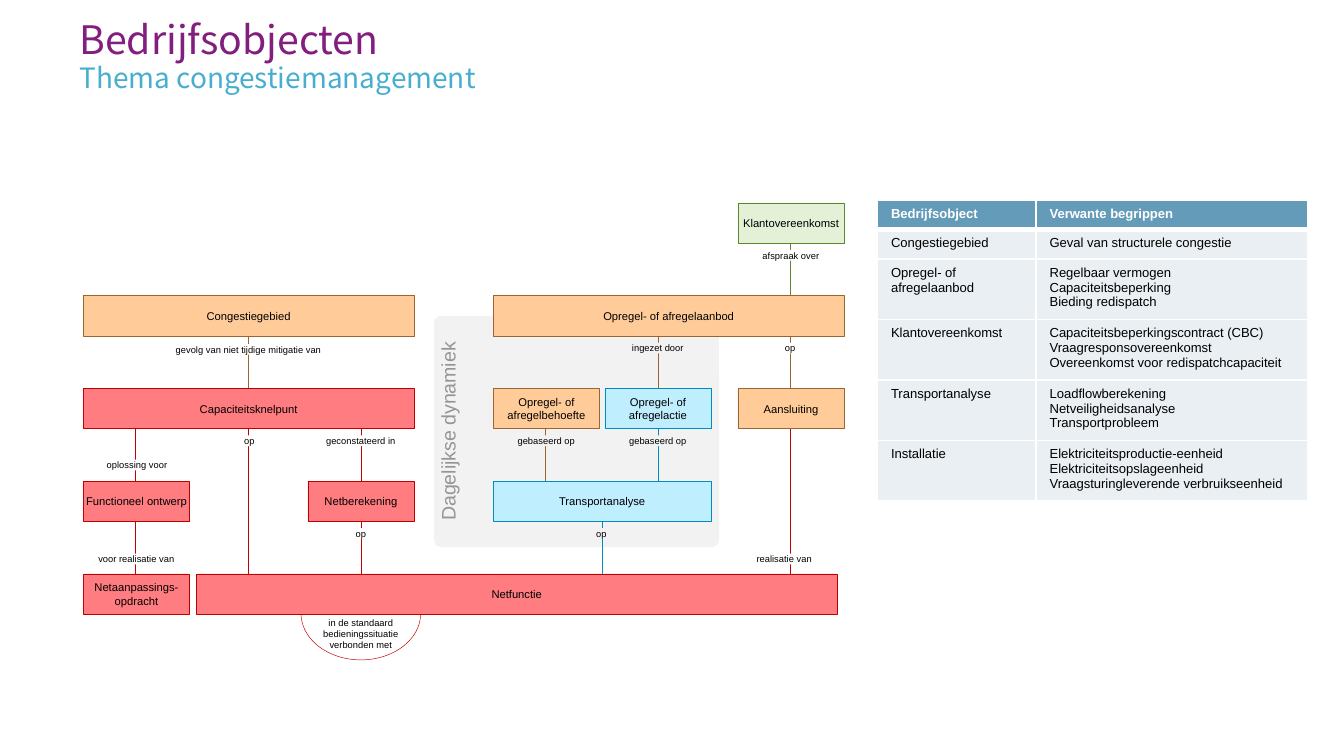
"""Build the slide of business objects for congestion management."""
from lxml import etree
from pptx import Presentation
from pptx import util as u
from pptx.dml.color import RGBColor
from pptx.enum import shapes, text
from pptx.oxml import ns

BLACK, WHITE, GREY = "000000", "FFFFFF", "F2F2F2"
GREEN, ORANGE = ("E5F1D7", "5E872D"), ("FFCC99", "996633")
RED, BLUE = ("FF7C80", "C00000"), ("BFEEFF", "008CBE")
UNIT_W, UNIT_H, ROW_STEP = 0.79, 0.3, 0.69

OBJECTS = [
    (5.49, 0, UNIT_W, GREEN, "Klantovereenkomst"),
    (0.62, 1, 2.46, ORANGE, "Congestiegebied"),
    (3.67, 1, 2.61, ORANGE, "Opregel- of afregelaanbod"),
    (0.62, 2, 2.46, RED, "Capaciteitsknelpunt"),
    (3.67, 2, UNIT_W, ORANGE, "Opregel- of afregelbehoefte"),
    (4.5, 2, UNIT_W, BLUE, "Opregel- of afregelactie"),
    (5.49, 2, UNIT_W, ORANGE, "Aansluiting"),
    (0.62, 3, UNIT_W, RED, "Functioneel ontwerp"),
    (2.29, 3, UNIT_W, RED, "Netberekening"),
    (3.67, 3, 1.62, BLUE, "Transportanalyse"),
    (0.62, 4, UNIT_W, RED, "Netaanpassings-opdracht"),
    (1.46, 4, 4.77, RED, "Netfunctie"),
]
RELATIONS = [
    (5.88, 0, 1, GREEN, "afspraak over", 5.49, UNIT_W, 0.05, WHITE),
    (1.85, 1, 2, ORANGE, "gevolg van niet tijdige mitigatie van", 1.26, 1.18, 0.06, WHITE),
    (4.9, 1, 2, ORANGE, "ingezet door", 4.5, UNIT_W, 0.05, GREY),
    (5.88, 1, 2, ORANGE, "op", 5.73, 0.3, 0.05, WHITE),
    (1.01, 2, 3, RED, "oplossing voor", 0.77, 0.5, 0.23, WHITE),
    (1.85, 2, 4, RED, "op", 1.46, UNIT_W, 0.05, WHITE),
    (2.69, 2, 3, RED, "geconstateerd in", 2.29, UNIT_W, 0.05, WHITE),
    (4.06, 2, 3, ORANGE, "gebaseerd op", 3.67, UNIT_W, 0.05, GREY),
    (4.9, 2, 3, BLUE, "gebaseerd op", 4.5, UNIT_W, 0.05, GREY),
    (5.88, 2, 4, RED, "realisatie van", 5.59, 0.49, 0.93, WHITE),
    (1.01, 3, 4, RED, "voor realisatie van", 0.62, UNIT_W, 0.24, WHITE),
    (2.69, 3, 4, RED, "op", 2.29, UNIT_W, 0.05, WHITE),
    (4.48, 3, 4, BLUE, "op", 4.08, UNIT_W, 0.05, GREY),
]
TERMS = [
    ("Bedrijfsobject", "Verwante begrippen", 0.21),
    ("Congestiegebied", "Geval van structurele congestie", 0.22),
    ("Opregel- of afregelaanbod",
     "Regelbaar vermogen\nCapaciteitsbeperking\nBieding redispatch", 0.45),
    ("Klantovereenkomst",
     "Capaciteitsbeperkingscontract (CBC)\nVraagresponsovereenkomst\n"
     "Overeenkomst voor redispatchcapaciteit", 0.45),
    ("Transportanalyse",
     "Loadflowberekening\nNetveiligheidsanalyse\nTransportprobleem", 0.45),
    ("Installatie",
     "Elektriciteitsproductie-eenheid\nElektriciteitsopslageenheid\n"
     "Vraagsturingleverende verbruikseenheid", 0.45),
]


def rgb(code):
    return RGBColor.from_string(code)


def row_top(row):
    return 1.51 + ROW_STEP * row


def write(frame, wording, size, color, font="Arial", align=None, bold=False, spacing=None):
    frame.text = wording
    for paragraph in frame.paragraphs:
        paragraph.alignment = align
        paragraph.line_spacing = spacing
        for run in paragraph.runs:
            run.font.size, run.font.name, run.font.bold = u.Pt(size), font, bold
            run.font.color.rgb = rgb(color)


def set_margins(frame, margin):
    frame.margin_left = frame.margin_right = u.Inches(margin)
    frame.margin_top = frame.margin_bottom = u.Inches(margin)


def add_block(slide, kind, place, wording, size, fill=None, line=None, margin=None, color=BLACK):
    block = slide.shapes.add_shape(kind, *map(u.Inches, place))
    block.shadow.inherit = False
    if fill:
        block.fill.solid()
        block.fill.fore_color.rgb = rgb(fill)
    else:
        block.fill.background()
    if line:
        block.line.color.rgb = rgb(line)
        block.line.width = u.Pt(0.25)
    else:
        block.line.fill.background()
    frame = block.text_frame
    frame.vertical_anchor = text.MSO_ANCHOR.MIDDLE
    if margin is not None:
        set_margins(frame, margin)
    write(frame, wording, size, color, align=text.PP_ALIGN.CENTER)
    return block


def add_heading(slide, place, wording, size, color, spacing):
    heading = slide.shapes.add_textbox(*map(u.Inches, place))
    heading.text_frame.word_wrap = True
    set_margins(heading.text_frame, 0)
    write(heading.text_frame, wording, size, color, "Noto Sans CJK TC", spacing=spacing)


def add_dynamics_area(slide):
    area = add_block(slide, shapes.MSO_SHAPE.ROUNDED_RECTANGLE, (3.23, 2.35, 2.12, 1.72),
                     "Dagelijkse dynamiek", 10.5, GREY, margin=0, color="939598")
    area.adjustments[0] = 0.03
    area.text_frame.vertical_anchor = text.MSO_ANCHOR.TOP
    area.element.txBody.bodyPr.set("vert", "vert270")


def add_self_relation(slide):
    loop = add_block(slide, shapes.MSO_SHAPE.ARC, (2.24, 4.22, 0.89, 0.69),
                     "in de standaard bedieningssituatie verbonden met", 5, line=RED[1])
    loop.adjustments[0], loop.adjustments[1] = 212.73, 109.39


def add_relation(slide, x, upper, lower, colors, wording, left, width, drop, fill):
    start, end = row_top(upper) + UNIT_H, row_top(lower)
    link = slide.shapes.add_connector(shapes.MSO_CONNECTOR.STRAIGHT,
                                      *map(u.Inches, (x, start, x, end)))
    link.line.color.rgb = rgb(colors[1])
    link.line.width = u.Pt(0.25)
    etree.SubElement(link.element.spPr, ns.qn("a:effectLst"))
    label = add_block(slide, shapes.MSO_SHAPE.RECTANGLE, (left, start + drop, width, 0.08),
                      wording, 5, fill, margin=0)
    label.text_frame.auto_size = text.MSO_AUTO_SIZE.SHAPE_TO_FIT_TEXT


def add_border(cell, side, points):
    border = etree.SubElement(cell._tc.get_or_add_tcPr(), ns.qn("a:ln" + side),
                              w=str(u.Pt(points)))
    solid = etree.SubElement(border, ns.qn("a:solidFill"))
    etree.SubElement(solid, ns.qn("a:srgbClr"), val=WHITE)


def add_terms_table(slide):
    place = map(u.Inches, (6.53, 1.49, 3.2, 2.23))
    table = slide.shapes.add_table(len(TERMS), 2, *place).table
    for column, width in zip(table.columns, (1.18, 2.02)):
        column.width = u.Inches(width)
    for index, (name, related, height) in enumerate(TERMS):
        table.rows[index].height = u.Inches(height)
        header = index == 0
        for cell, wording in zip(table.rows[index].cells, (name, related)):
            for side in "LRTB":
                thick = (index, side) in ((0, "B"), (1, "T"))
                add_border(cell, side, 3 if thick else 1)
            cell.fill.solid()
            cell.fill.fore_color.rgb = rgb("649BB9" if header else "EAEFF3")
            write(cell.text_frame, wording, 7, WHITE if header else BLACK, bold=header)


def main():
    deck = Presentation()
    deck.slide_width = u.Inches(10)
    deck.slide_height = deck.slide_width * 9 // 16
    slide = deck.slides.add_slide(deck.slide_layouts[6])
    add_dynamics_area(slide)
    add_self_relation(slide)
    add_heading(slide, (0.59, 0.17, 9.65, 0.39), "Bedrijfsobjecten", 21, "821E7D", u.Pt(21))
    add_heading(slide, (0.59, 0.4, 7.55, 0.22), "Thema congestiemanagement", 15, "48AED0", 1.2)
    for relation in RELATIONS:
        add_relation(slide, *relation)
    for left, row, width, colors, wording in OBJECTS:
        add_block(slide, shapes.MSO_SHAPE.RECTANGLE, (left, row_top(row), width, UNIT_H),
                  wording, 6, *colors, margin=0.01)
    add_terms_table(slide)
    deck.save("out.pptx")


if __name__ == "__main__":
    main()
